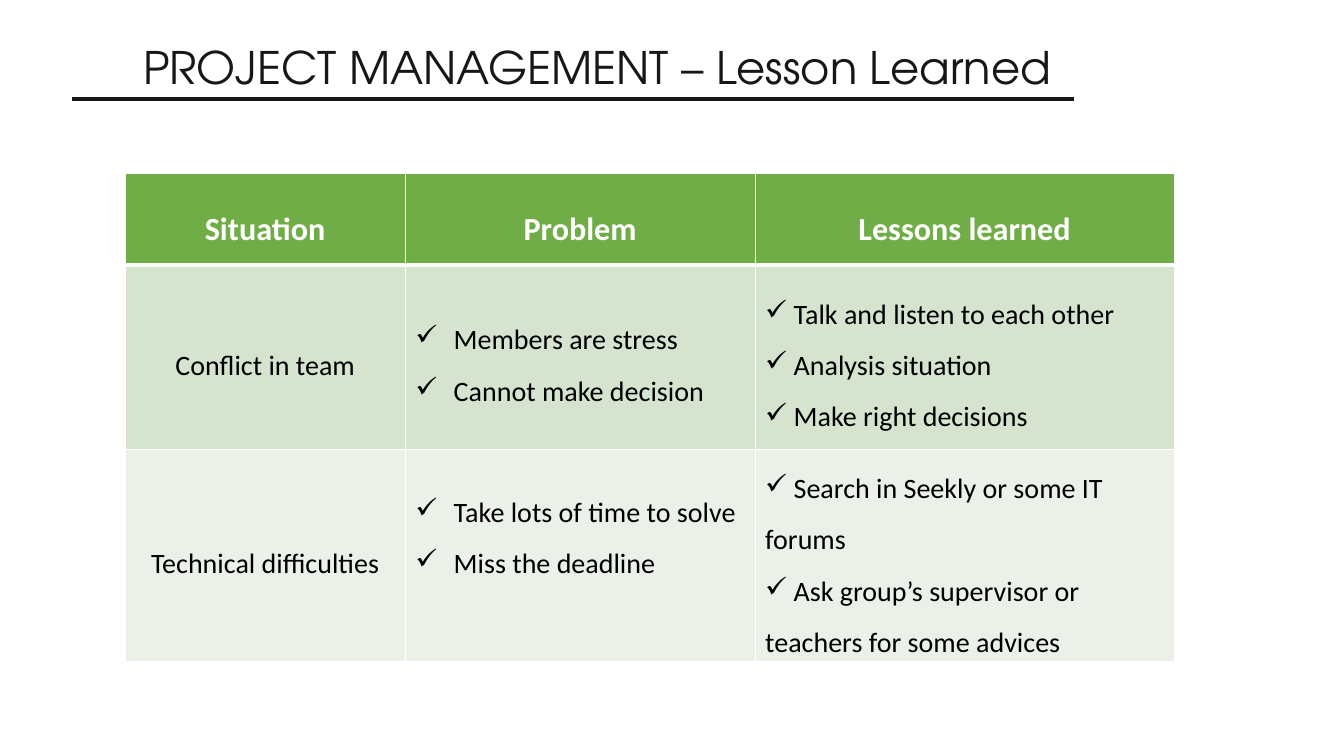
"""Build the lessons learned slide of a project management talk."""
from lxml import etree
from pptx import Presentation
from pptx.dml.color import RGBColor
from pptx.enum import shapes, text
from pptx.oxml import ns
from pptx.util import Inches, Pt


def paint(fill, color):
    fill.solid()
    fill.fore_color.rgb = RGBColor.from_string(color)


def add(parent, tag, **attrs):
    return etree.SubElement(parent, ns.qn(tag), **attrs)


deck = Presentation()
deck.slide_width, deck.slide_height = Inches(13.33), Inches(7.5)
slide = deck.slides.add_slide(deck.slide_layouts[5])

widths = [2.78, 3.47, 4.16]
heights = [0.91, 1.83, 2.09]
fills = ["70AD47", "D5E3CF", "EBF1E9"]
indents = [None, 0.38, 0]
rows = [
    [["Situation"], ["Problem"], ["Lessons learned"]],
    [["Conflict in team"],
     ["Members are stress", "Cannot make decision"],
     [" Talk and listen to each other", " Analysis situation",
      " Make right decisions"]],
    [["Technical difficulties"],
     ["Take lots of time to solve", "Miss the deadline"],
     [" Search in Seekly or some IT forums",
      " Ask group’s supervisor or teachers for some advices"]],
]

frame = slide.shapes.add_table(3, 3, Inches(1.24), Inches(1.72),
                               Inches(sum(widths)), Inches(sum(heights)))
table = frame.table
for col, width in zip(table.columns, widths):
    col.width = Inches(width)
for row, height in zip(table.rows, heights):
    row.height = Inches(height)

for r, row in enumerate(rows):
    for c, lines in enumerate(row):
        cell = table.cell(r, c)
        cell.vertical_anchor = text.MSO_ANCHOR.MIDDLE
        props = cell._tc.get_or_add_tcPr()
        for side in "LRTB":
            thick = (r, side) in [(0, "B"), (1, "T")]
            edge = add(props, f"a:ln{side}", w=str(Pt(3 if thick else 1)))
            add(add(edge, "a:solidFill"), "a:srgbClr", val="FFFFFF")
        paint(cell.fill, fills[r])
        cell.text_frame.text = "\n".join(lines)
        for para in cell.text_frame.paragraphs:
            if r and c:
                ppr = para._p.get_or_add_pPr()
                ppr.set("marL", str(Inches(indents[c])))
                ppr.set("indent", str(-Inches(indents[c])))
                add(ppr, "a:buChar", char="✓")
            else:
                para.alignment = text.PP_ALIGN.CENTER
            para.line_spacing = 1.5
            para.font.name = "Calibri"
            para.font.size = Pt(20 if r else 23)
            para.font.bold = r == 0
            paint(para.font.fill, "000000" if r else "FFFFFF")
table.cell(2, 1).margin_bottom = Inches(0.56)

title = slide.shapes.title
title.left, title.top = Inches(1.32), Inches(0.34)
title.width, title.height = Inches(9.33), Inches(0.64)
box = title.text_frame
box.text = "PROJECT MANAGEMENT – Lesson Learned"
box.word_wrap = False
box.auto_size = text.MSO_AUTO_SIZE.SHAPE_TO_FIT_TEXT
box.vertical_anchor = text.MSO_ANCHOR.TOP
head = box.paragraphs[0]
head.alignment = text.PP_ALIGN.LEFT
head.font.name = "TeX Gyre Adventor"
head.font.size = Pt(32)
paint(head.font.fill, "181717")

rule = slide.shapes.add_connector(shapes.MSO_CONNECTOR.STRAIGHT, Inches(0.71),
                                  Inches(0.98), Inches(10.65), Inches(0.98))
rule.line.width = Pt(3)
paint(rule.line.fill, "181717")
add(rule._element.spPr, "a:effectLst")

deck.save("out.pptx")
